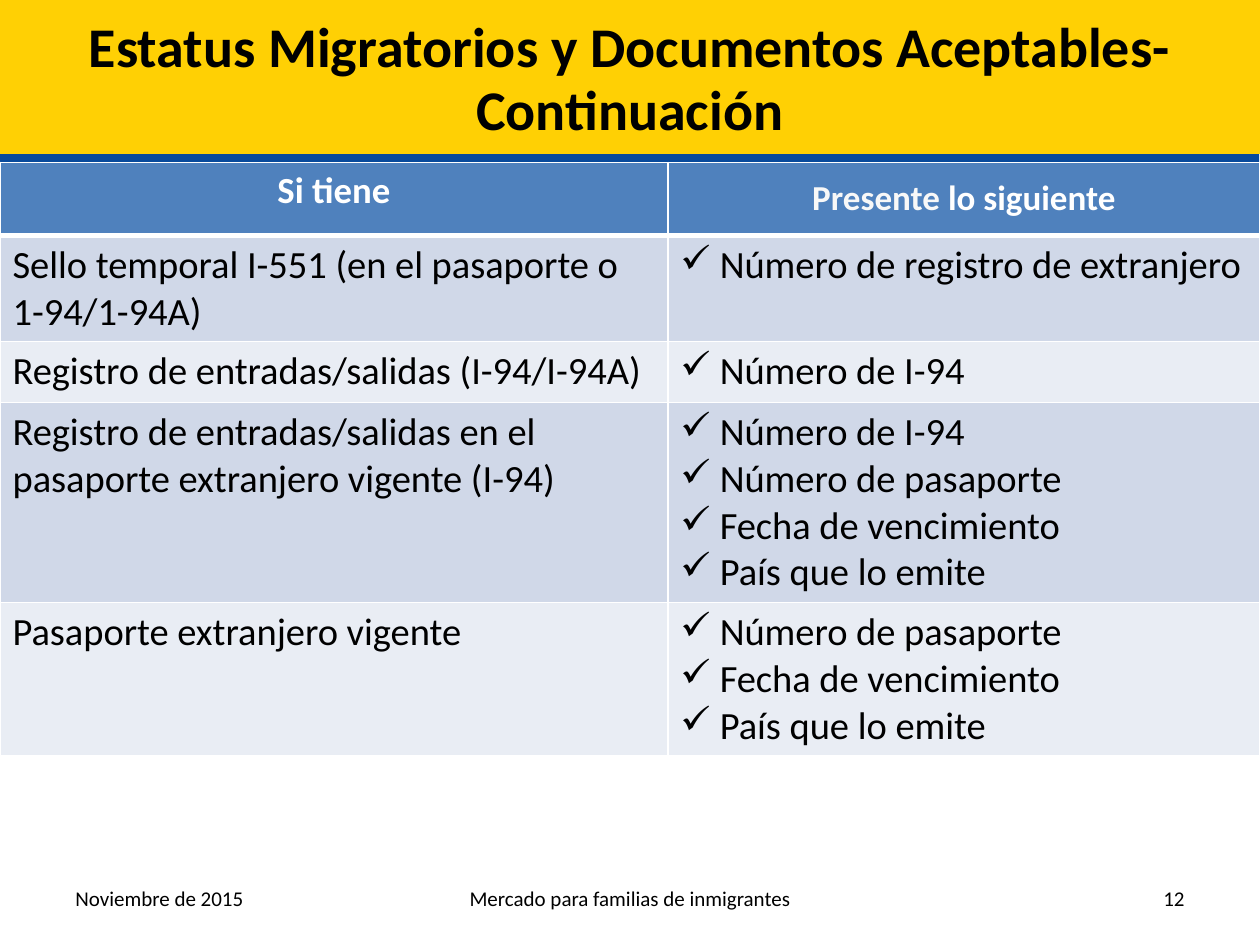
"""Build the slide on migratory status and acceptable documents."""
from lxml import etree
from pptx import Presentation
from pptx.dml.color import RGBColor
from pptx.enum.shapes import MSO_SHAPE
from pptx.enum.text import MSO_ANCHOR, PP_ALIGN
from pptx.oxml import parse_xml
from pptx.oxml.ns import nsdecls, qn
from pptx.util import Pt

RECT = MSO_SHAPE.RECTANGLE
TOP, MIDDLE = MSO_ANCHOR.TOP, MSO_ANCHOR.MIDDLE
LEFT, CENTER, RIGHT = PP_ALIGN.LEFT, PP_ALIGN.CENTER, PP_ALIGN.RIGHT

THEME = {
    "font": "Calibri", "title": 32, "head": 21, "subhead": 20, "body": 22, "footer": 12,
    "black": "000000", "white": "FFFFFF", "offwhite": "F8F8F8", "banner": "FFD004",
    "shadow": "084A9C", "header": "4F81BD", "bands": ("D0D8E8", "E9EDF4"),
}


def add_run(p, text, size, color="black", bold=False):
    r = p.add_run()
    r.text = text
    formats = {"name": THEME["font"], "size": Pt(THEME[size]), "bold": bold}
    for name, value in formats.items():
        setattr(r.font, name, value)
    r.font.color.rgb = RGBColor.from_string(THEME[color])


def style_cell(cell, fill, bottom=1):
    tcPr = cell._tc.get_or_add_tcPr()
    for side, width in {"L": 1, "R": 1, "T": 1, "B": bottom}.items():
        tcPr.append(parse_xml(
            f'<a:ln{side} {nsdecls("a")} w="{Pt(width)}"><a:solidFill>'
            f'<a:srgbClr val="{THEME["white"]}"/></a:solidFill></a:ln{side}>'))
    cell.fill.solid()
    cell.fill.fore_color.rgb = RGBColor.from_string(fill)


prs = Presentation()
prs.slide_width, prs.slide_height = Pt(720), Pt(540)
s = prs.slides.add_slide(prs.slide_layouts[6])

banner = s.shapes.add_shape(RECT, Pt(0), Pt(-2), Pt(720), Pt(90))
banner.fill.solid()
banner.fill.fore_color.rgb = RGBColor.from_string(THEME["banner"])
banner.line.fill.background()
banner.shadow.inherit = False
effects = banner._element.spPr.find(qn("a:effectLst"))
shadow = etree.SubElement(effects, qn("a:outerShdw"), dist=str(Pt(6)), dir="5640000",
                          algn="ctr", rotWithShape="0")
etree.SubElement(shadow, qn("a:srgbClr"), val=THEME["shadow"])

texts = [
    (0, 0, 720, 90, CENTER, "title", True,
     ["Estatus Migratorios y Documentos Aceptables-", "Continuación"]),
    (36, 499, 168, 28.8, LEFT, "footer", False, ["Noviembre de 2015"]),
    (204, 499, 312, 28.8, CENTER, "footer", False, ["Mercado para familias de inmigrantes"]),
    (516, 499, 168, 28.8, RIGHT, "footer", False, ["12"]),
]
for x, y, w, h, align, size, bold, lines in texts:
    tf = s.shapes.add_textbox(Pt(x), Pt(y), Pt(w), Pt(h)).text_frame
    tf.word_wrap, tf.vertical_anchor = True, MIDDLE
    p = tf.paragraphs[0]
    p.alignment = align
    if size == "title":
        p.line_spacing = Pt(36)
    for i, line in enumerate(lines):
        if i:
            p.add_line_break()
        add_run(p, line, size, bold=bold)

passport = ["Número de pasaporte", "Fecha de vencimiento", "País que lo emite"]
rows = [
    ("Sello temporal I-551 (en el pasaporte o 1-94/1-94A)",
     ["Número de registro de extranjero"]),
    ("Registro de entradas/salidas (I-94/I-94A)", ["Número de I-94"]),
    ("Registro de entradas/salidas en el pasaporte extranjero vigente (I-94)",
     ["Número de I-94"] + passport),
    ("Pasaporte extranjero vigente", passport),
]
widths = [381.6, 338.4]
heights = [41.8, 60.6, 34.9, 114.3, 87.4]
table = s.shapes.add_table(len(heights), len(widths), Pt(0), Pt(92.8),
                           Pt(sum(widths)), Pt(sum(heights))).table
for column, width in zip(table.columns, widths):
    column.width = Pt(width)
for row, height in zip(table.rows, heights):
    row.height = Pt(height)

headers = [
    (TOP, [("Si tiene", "head", "white")]),
    (MIDDLE, [("Presente ", "subhead", "offwhite"), ("lo siguiente", "subhead", "white")]),
]
for c, (anchor, runs) in enumerate(headers):
    cell = table.cell(0, c)
    style_cell(cell, THEME["header"], bottom=3)
    cell.vertical_anchor = anchor
    p = cell.text_frame.paragraphs[0]
    p.alignment = CENTER
    for text, size, color in runs:
        add_run(p, text, size, color, bold=True)

for i, (status, documents) in enumerate(rows):
    status_cell, documents_cell = table.rows[i + 1].cells
    for cell in (status_cell, documents_cell):
        style_cell(cell, THEME["bands"][i % 2])
    add_run(status_cell.text_frame.paragraphs[0], status, "body")
    tf = documents_cell.text_frame
    for j, document in enumerate(documents):
        p = tf.add_paragraph() if j else tf.paragraphs[0]
        pPr = p._p.get_or_add_pPr()
        pPr.set("marL", str(Pt(22.5)))
        pPr.set("indent", str(Pt(-22.5)))
        etree.SubElement(pPr, qn("a:buChar"), char="✓")
        add_run(p, document, "body")

prs.save("out.pptx")
